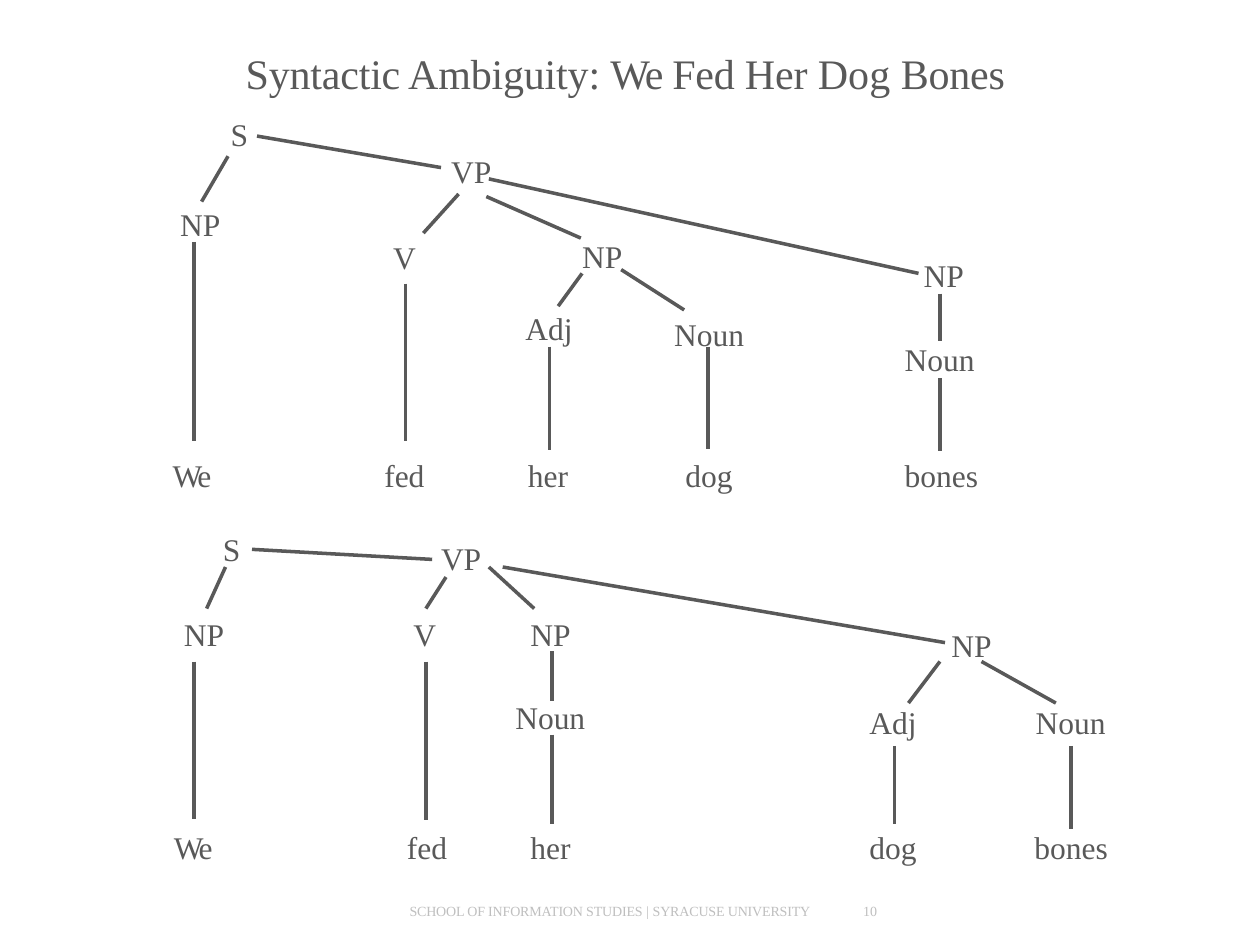
from typing import NamedTuple

from lxml.etree import SubElement
from pptx import Presentation
from pptx.dml.color import RGBColor
from pptx.enum.shapes import MSO_CONNECTOR as Link
from pptx.enum.text import MSO_ANCHOR as Anchor, MSO_AUTO_SIZE as Fit, PP_ALIGN as Align
from pptx.oxml.ns import qn
from pptx.util import Inches, Pt

GREY = RGBColor(0x59, 0x59, 0x59)
PALE = RGBColor(0xBF, 0xBF, 0xBF)
FACE = "Times New Roman"
COLS, ROWS = 100, 75
WIDE, HIGH = Inches(10), Inches(7.5)
SPANS = {"S": 1.7, "V": 2.1, "VP": 3.5, "NP": 3.5, "Adj": 4, "Noun": 5.8,
         "We": 3.4, "fed": 3.5, "her": 3.5, "dog": 4, "bones": 6.1}
TIGHT = {"We": -140}


class Node(NamedTuple):
    text: str
    col: float
    row: float


class Edge(NamedTuple):
    col: float
    row: float
    to_col: float
    to_row: float


class Tree(NamedTuple):
    nodes: list[Node]
    edges: list[Edge]
    words: list[tuple[str, float]]
    base: float


class Part(NamedTuple):
    text: str
    gap: int = 0


UPPER = Tree(
    [Node("V", 31.1, 18.7), Node("NP", 46.1, 18.6), Node("Adj", 41.6, 24.3),
     Node("Noun", 53.4, 24.8), Node("NP", 73.2, 20.1), Node("Noun", 71.7, 26.8)],
    [Edge(18.1, 12.4, 16, 16), Edge(15.4, 19.2, 15.4, 35),
     Edge(20.4, 10.8, 35, 13.3), Edge(36.4, 15.4, 33.6, 18.5),
     Edge(32.2, 22.5, 32.2, 35), Edge(43.6, 27.5, 43.6, 35.7),
     Edge(38.6, 15.6, 46.1, 18.9), Edge(49.3, 21.4, 54.3, 24.6),
     Edge(46.2, 21.7, 44.3, 24.3), Edge(38.8, 14.2, 72.9, 21.7),
     Edge(56.2, 27.5, 56.2, 35.6), Edge(74.6, 23.3, 74.6, 27.1),
     Edge(74.6, 30, 74.6, 35.8)],
    [("We", 13.6), ("fed", 30.4), ("her", 41.8), ("dog", 54.3), ("bones", 71.7)],
    36)

LOWER = Tree(
    [Node("S", 17.6, 41.9), Node("VP", 34.9, 42.6), Node("NP", 14.5, 48.6),
     Node("V", 32.7, 48.6), Node("NP", 42, 48.6), Node("NP", 75.4, 49.5),
     Node("Noun", 40.8, 55.2), Node("Adj", 68.9, 55.6), Node("Noun", 82.1, 55.6)],
    [Edge(17.9, 45, 16.4, 48.3), Edge(15.4, 52.5, 15.4, 65),
     Edge(20, 43.6, 34.3, 44.4), Edge(35.4, 45.8, 33.8, 48.3),
     Edge(33.8, 52.5, 33.8, 65.1), Edge(43.8, 51.7, 43.8, 55.6),
     Edge(43.8, 58.3, 43.8, 65.4), Edge(38.8, 45, 42.4, 48.3),
     Edge(39.9, 45, 75, 51), Edge(74.6, 52.5, 72.1, 55.8),
     Edge(77.9, 52.5, 83.8, 55.8), Edge(85, 59.2, 85, 65.8),
     Edge(71, 59.2, 71, 65.4)],
    [("We", 13.7), ("fed", 32.2), ("her", 42), ("dog", 68.9), ("bones", 82)],
    65.5)


def across(cols: float) -> int:
    return round(WIDE * cols / COLS)


def down(rows: float) -> int:
    return round(HIGH * rows / ROWS)


def shape_text(box, top: float):
    frame = box.text_frame
    frame.margin_left = frame.margin_right = frame.margin_bottom = 0
    frame.margin_top = Inches(top)
    frame.word_wrap = True
    frame.auto_size = Fit.NONE
    frame.vertical_anchor = Anchor.TOP
    return frame


def fill_line(para, parts: list[Part], size: float, ink: RGBColor, indent: float = 0.1) -> None:
    props = para._p.get_or_add_pPr()
    props.set("marL", str(across(indent)))
    props.set("indent", "0")
    para.alignment = Align.LEFT
    font = para.font
    font.name, font.size, font.color.rgb = FACE, Pt(size), ink
    for part in parts:
        run = para.add_run()
        run.text = part.text
        if part.gap:
            run._r.get_or_add_rPr().set("spc", str(part.gap))


def add_box(slide, col: float, row: float, width: float, height: float, top: float = 0.02):
    box = slide.shapes.add_textbox(across(col), down(row), across(width), down(height))
    return shape_text(box, top)


def add_node(slide, node: Node) -> None:
    frame = add_box(slide, node.col, node.row, SPANS[node.text], 3.3)
    fill_line(frame.paragraphs[0], [Part(node.text, TIGHT.get(node.text, 0))], 18, GREY)


def add_edge(slide, edge: Edge) -> None:
    line = slide.shapes.add_connector(
        Link.STRAIGHT, across(edge.col), down(edge.row),
        across(edge.to_col), down(edge.to_row))
    line.line.color.rgb = GREY
    line.line.width = Pt(2)
    SubElement(line._element.spPr, qn("a:effectLst"))


def add_tree(slide, tree: Tree) -> None:
    for node in tree.nodes:
        add_node(slide, node)
    for word, col in tree.words:
        add_node(slide, Node(word, col, tree.base))
    for edge in tree.edges:
        add_edge(slide, edge)


def add_title(slide) -> None:
    title = slide.shapes.title
    title.left, title.top = across(19.4), down(3.6)
    title.width, title.height = across(61.2), down(4.3)
    parts = [Part("Syntactic Ambiguity: ", -10), Part("We ", -100),
             Part("Fed Her ", -10), Part("Dog "), Part("Bones", -10)]
    fill_line(shape_text(title, 0.02).paragraphs[0], parts, 24, GREY)


def add_root(slide) -> None:
    frame = add_box(slide, 14.2, 9, 24.9, 10.3)
    for num, (text, indent) in enumerate([("S", 4.1), ("VP", 21.6), ("NP", 0.1)]):
        para = frame.paragraphs[0] if num == 0 else frame.add_paragraph()
        if text == "NP":
            para.space_before = Pt(8.4)
        else:
            para.line_spacing = Pt(21.2)
        fill_line(para, [Part(text)], 18, GREY, indent)


def add_foot(slide) -> None:
    parts = [Part("SCHOOL OF INFORMATION STUDIES ", -10), Part("| "),
             Part("SYRACUSE UNIVERSITY", -10)]
    frame = add_box(slide, 32.4, 71.6, 32.8, 1.5, 0)
    fill_line(frame.paragraphs[0], parts, 8, PALE)
    frame = add_box(slide, 68.1, 71.6, 1.9, 1.5, 0)
    fill_line(frame.paragraphs[0], [Part("10")], 8, PALE, 0.4)


def main() -> None:
    deck = Presentation()
    deck.slide_width, deck.slide_height = WIDE, HIGH
    slide = deck.slides.add_slide(deck.slide_layouts[5])
    add_title(slide)
    add_root(slide)
    for tree in (UPPER, LOWER):
        add_tree(slide, tree)
    add_foot(slide)
    deck.save("out.pptx")


if __name__ == "__main__":
    main()
